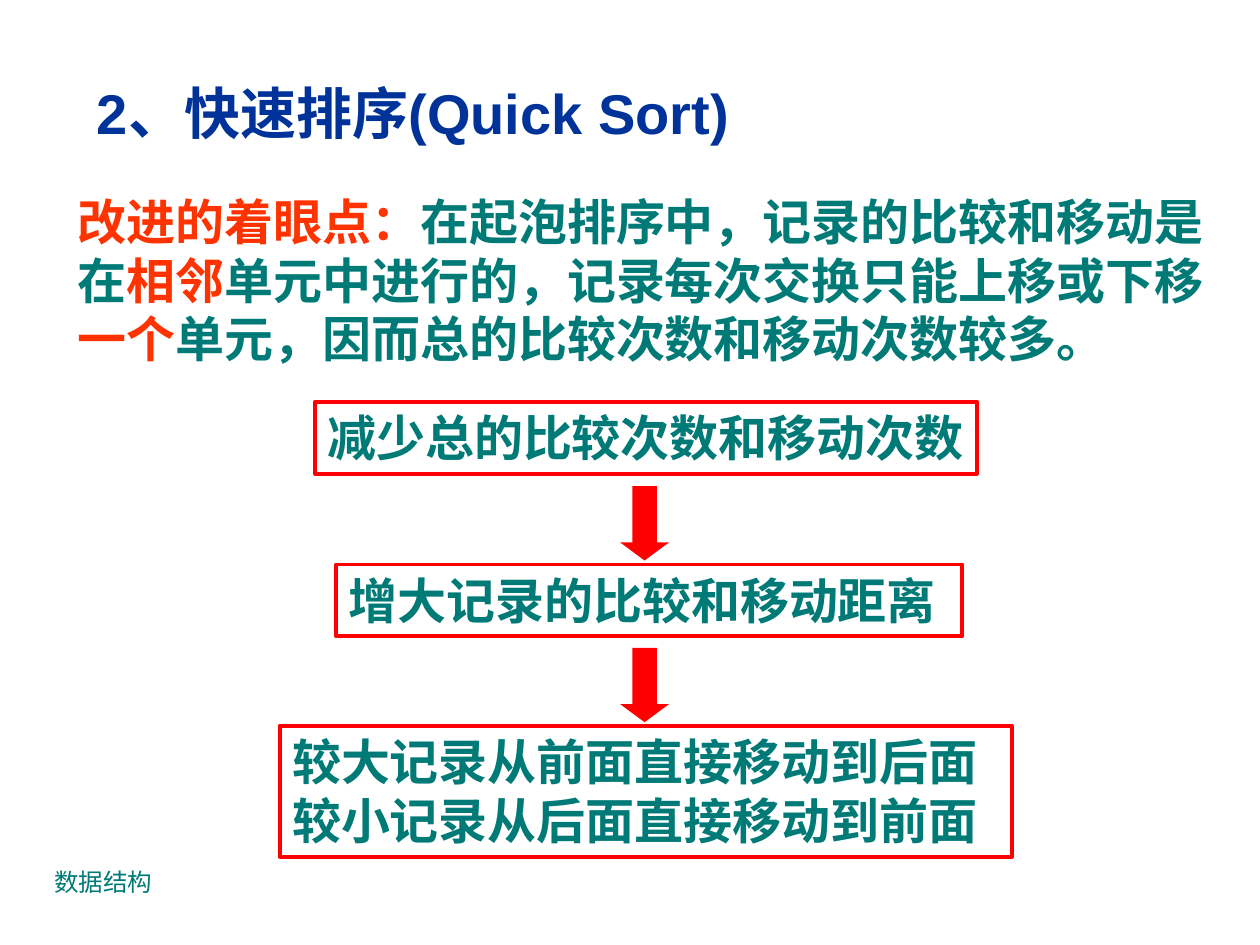
from dataclasses import dataclass

from pptx import Presentation
from pptx.dml.color import RGBColor
from pptx.enum import shapes, text
from pptx.util import Cm, Pt


@dataclass(frozen=True)
class Theme:
    navy: RGBColor = RGBColor(0x00, 0x33, 0x99)
    teal: RGBColor = RGBColor(0x00, 0x7A, 0x77)
    orange: RGBColor = RGBColor(0xFF, 0x33, 0x00)
    red: RGBColor = RGBColor(0xFF, 0x00, 0x00)
    title_size: Pt = Pt(32)
    body_size: Pt = Pt(28)
    footer_size: Pt = Pt(14)
    border: Pt = Pt(2.25)
    sans: str = "Arial"
    serif: str = "Times New Roman"


def style(run, size, color, face=Theme.sans, bold=True):
    run.font.name = face
    run.font.size = size
    run.font.bold = bold
    run.font.color.rgb = color


theme = Theme()
deck = Presentation()
deck.slide_width, deck.slide_height = Cm(25.4), Cm(19.05)
slide = deck.slides.add_slide(deck.slide_layouts[5])

title = slide.shapes.title
title.left, title.top, title.width, title.height = Cm(1.7), Cm(1.32), Cm(13.61), Cm(1.9)
title.text_frame.text = "2、快速排序(Quick Sort)"
title.text_frame.word_wrap = True
title.text_frame.auto_size = text.MSO_AUTO_SIZE.NONE
title.text_frame.vertical_anchor = text.MSO_ANCHOR.MIDDLE
heading = title.text_frame.paragraphs[0]
heading.alignment = text.PP_ALIGN.LEFT
style(heading.runs[0], theme.title_size, theme.navy)

footer = slide.shapes.add_textbox(Cm(0.84), Cm(17.35), Cm(6.35), Cm(1.32))
footer.text_frame.word_wrap = True
footer.text_frame.text = "数据结构"
style(footer.text_frame.paragraphs[0].runs[0], theme.footer_size, theme.teal, bold=False)

motivation = slide.shapes.add_textbox(Cm(1.32), Cm(3.73), Cm(23.5), Cm(3.81))
motivation.text_frame.word_wrap = True
for phrase, color in [
    ("改进的着眼点：", theme.orange),
    ("在起泡排序中，记录的比较和移动是在", theme.teal),
    ("相邻", theme.orange),
    ("单元中进行的，记录每次交换只能上移或下移", theme.teal),
    ("一个", theme.orange),
    ("单元，因而总的比较次数和移动次数较多。", theme.teal),
]:
    run = motivation.text_frame.paragraphs[0].add_run()
    run.text = phrase
    style(run, theme.body_size, color, theme.serif)

for left, top, width, height, wrap, wording in [
    (6.35, 8.1, 13.34, 1.45, False, "减少总的比较次数和移动次数"),
    (6.78, 11.38, 12.62, 1.45, True, "增大记录的比较和移动距离"),
    (5.64, 14.63, 14.76, 2.64, True,
     "较大记录从前面直接移动到后面\n较小记录从后面直接移动到前面"),
]:
    step = slide.shapes.add_shape(
        shapes.MSO_SHAPE.RECTANGLE, Cm(left), Cm(top), Cm(width), Cm(height))
    step.shadow.inherit = False
    step.fill.background()
    step.line.color.rgb = theme.red
    step.line.width = theme.border
    step.text_frame.word_wrap = wrap
    step.text_frame.vertical_anchor = text.MSO_ANCHOR.TOP
    step.text_frame.text = wording
    for line in step.text_frame.paragraphs:
        line.alignment = text.PP_ALIGN.LEFT
        style(line.runs[0], theme.body_size, theme.teal)

for top in (9.8, 13.06):
    arrow = slide.shapes.add_shape(
        shapes.MSO_SHAPE.DOWN_ARROW, Cm(12.5), Cm(top), Cm(0.99), Cm(1.5))
    arrow.adjustments[0] = 0.5
    arrow.adjustments[1] = 0.37
    arrow.shadow.inherit = False
    arrow.fill.solid()
    arrow.fill.fore_color.rgb = theme.red
    arrow.line.fill.background()

deck.save("out.pptx")
